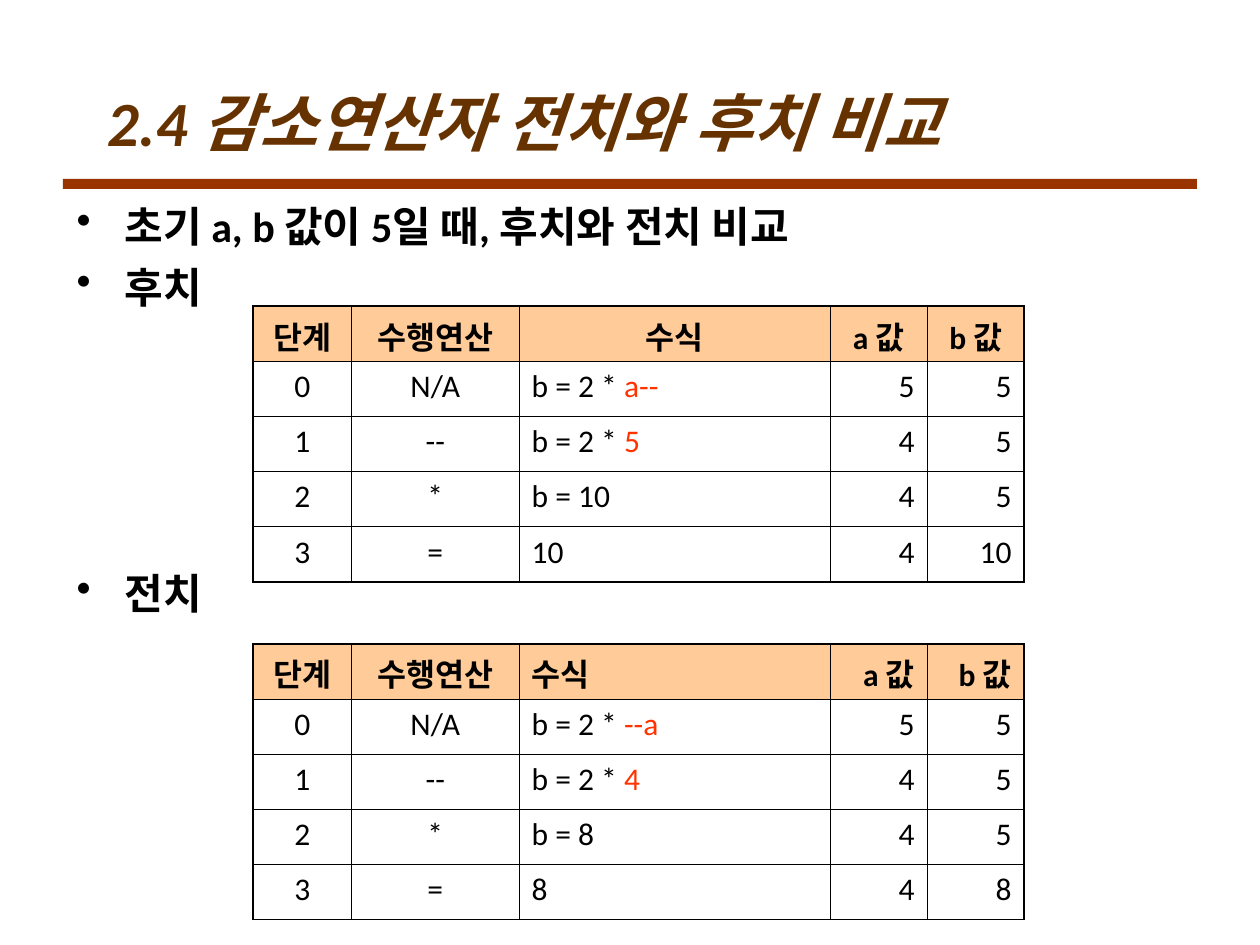
import pptx
import pptx.util
import pptx.dml.color
import pptx.enum.shapes
import pptx.enum.text
import pptx.oxml.ns
from lxml import etree

Inches, Pt = pptx.util.Inches, pptx.util.Pt
ALIGN = {"l": pptx.enum.text.PP_ALIGN.LEFT,
         "c": pptx.enum.text.PP_ALIGN.CENTER,
         "r": pptx.enum.text.PP_ALIGN.RIGHT}
FONT = "Calibri"
BLACK, RED, BROWN, RUST, PEACH = "000000", "FF3300", "663300", "993300", "FFCC99"

TITLE = "2.4 감소연산자 전치와 후치 비교"
# text, space before in points (the last bullet clears the first table)
BULLETS = [("초기 a, b 값이 5일 때, 후치와 전치 비교", 6), ("후치", 6), ("전치", 146.5)]

HEADER = ["단계", "수행연산", "수식", "a 값", "b 값"]
COLUMN_WIDTHS = [0.78, 1.33, 2.47, 0.77, 0.77]
BODY_ALIGN = "cclrr"
TABLE_LEFT, TABLE_HEIGHT = 2.01, 2.19
# A tuple holds plain text followed by highlighted text.
TABLES = [
    {"top": 2.43, "header_align": "ccccc", "rows": [
        ["0", "N/A", ("b = 2 * ", "a--"), "5", "5"],
        ["1", "--", ("b = 2 * ", "5"), "4", "5"],
        ["2", "*", "b = 10", "4", "5"],
        ["3", "=", "10", "4", "10"]]},
    {"top": 5.11, "header_align": BODY_ALIGN, "rows": [
        ["0", "N/A", ("b = 2 * ", "--a"), "5", "5"],
        ["1", "--", ("b = 2 * ", "4"), "4", "5"],
        ["2", "*", "b = 8", "4", "5"],
        ["3", "=", "8", "4", "8"]]},
]
INNER_LINE, OUTER_LINE = 0.45, 1.08


def rgb(value):
    return pptx.dml.color.RGBColor.from_string(value)


def style(span, size, color=BLACK, bold=False, italic=False):
    span.font.name = FONT
    span.font.size = Pt(size)
    span.font.color.rgb = rgb(color)
    span.font.bold = bold
    span.font.italic = italic


def add_text_box(page, left, top, width, height):
    box = page.shapes.add_textbox(*map(Inches, (left, top, width, height)))
    box.text_frame.word_wrap = True
    return box.text_frame


def add_bullet(para):
    props = para._p.get_or_add_pPr()
    indent = Inches(0.38)
    props.set("marL", str(indent))
    props.set("indent", str(-indent))
    etree.SubElement(props, pptx.oxml.ns.qn("a:buChar"), char="•")


def set_border(cell, side, width):
    props = cell._tc.get_or_add_tcPr()
    line = etree.SubElement(props, pptx.oxml.ns.qn(f"a:ln{side}"), w=str(Pt(width)))
    fill = etree.SubElement(line, pptx.oxml.ns.qn("a:solidFill"))
    etree.SubElement(fill, pptx.oxml.ns.qn("a:srgbClr"), val=BLACK)


def fill_cell(cell, content, align, is_header):
    plain, marked = content if isinstance(content, tuple) else (content, "")
    para = cell.text_frame.paragraphs[0]
    para.text = plain
    para.alignment = ALIGN[align]
    para.space_before = Pt(4.5)
    style(para.runs[0], 18, bold=is_header)
    if marked:
        span = para.add_run()
        span.text = marked
        style(span, 18, RED)
    if is_header:
        cell.fill.solid()
        cell.fill.fore_color.rgb = rgb(PEACH)
    else:
        cell.fill.background()


def add_step_table(page, top, header_align, rows):
    grid = [HEADER] + rows
    last_row, last_column = len(grid) - 1, len(HEADER) - 1
    table = page.shapes.add_table(
        len(grid), len(HEADER), Inches(TABLE_LEFT), Inches(top),
        Inches(sum(COLUMN_WIDTHS)), Inches(TABLE_HEIGHT)).table
    table.first_row = table.horz_banding = False
    for column, width in zip(table.columns, COLUMN_WIDTHS):
        column.width = Inches(width)
    for r, row in enumerate(grid):
        aligns = BODY_ALIGN if r else header_align
        for c, content in enumerate(row):
            cell = table.cell(r, c)
            outer = {"L": c == 0, "R": c == last_column,
                     "T": r == 0, "B": r == last_row}
            for side, is_outer in outer.items():
                set_border(cell, side, OUTER_LINE if is_outer else INNER_LINE)
            fill_cell(cell, content, aligns[c], r == 0)


def main():
    deck = pptx.Presentation()
    deck.slide_width, deck.slide_height = Inches(10), Inches(7.5)
    page = deck.slides.add_slide(deck.slide_layouts[6])

    rule = page.shapes.add_shape(pptx.enum.shapes.MSO_SHAPE.RECTANGLE,
                                 *map(Inches, (0.5, 1.42, 9, 0.08)))
    rule.shadow.inherit = False
    rule.fill.solid()
    rule.fill.fore_color.rgb = rgb(RUST)
    rule.line.fill.background()

    title = add_text_box(page, 0.75, 0.5, 8.5, 0.92)
    title.vertical_anchor = pptx.enum.text.MSO_ANCHOR.MIDDLE
    title.text = TITLE
    style(title.paragraphs[0].runs[0], 36, BROWN, bold=True, italic=True)

    body = add_text_box(page, 0.51, 1.54, 9, 5.28)
    body.text = "\n".join(text for text, _ in BULLETS)
    for para, (_, gap) in zip(body.paragraphs, BULLETS):
        para.space_before = Pt(gap)
        add_bullet(para)
        style(para.runs[0], 24, bold=True)

    for table in TABLES:
        add_step_table(page, **table)

    deck.save("out.pptx")


if __name__ == "__main__":
    main()
